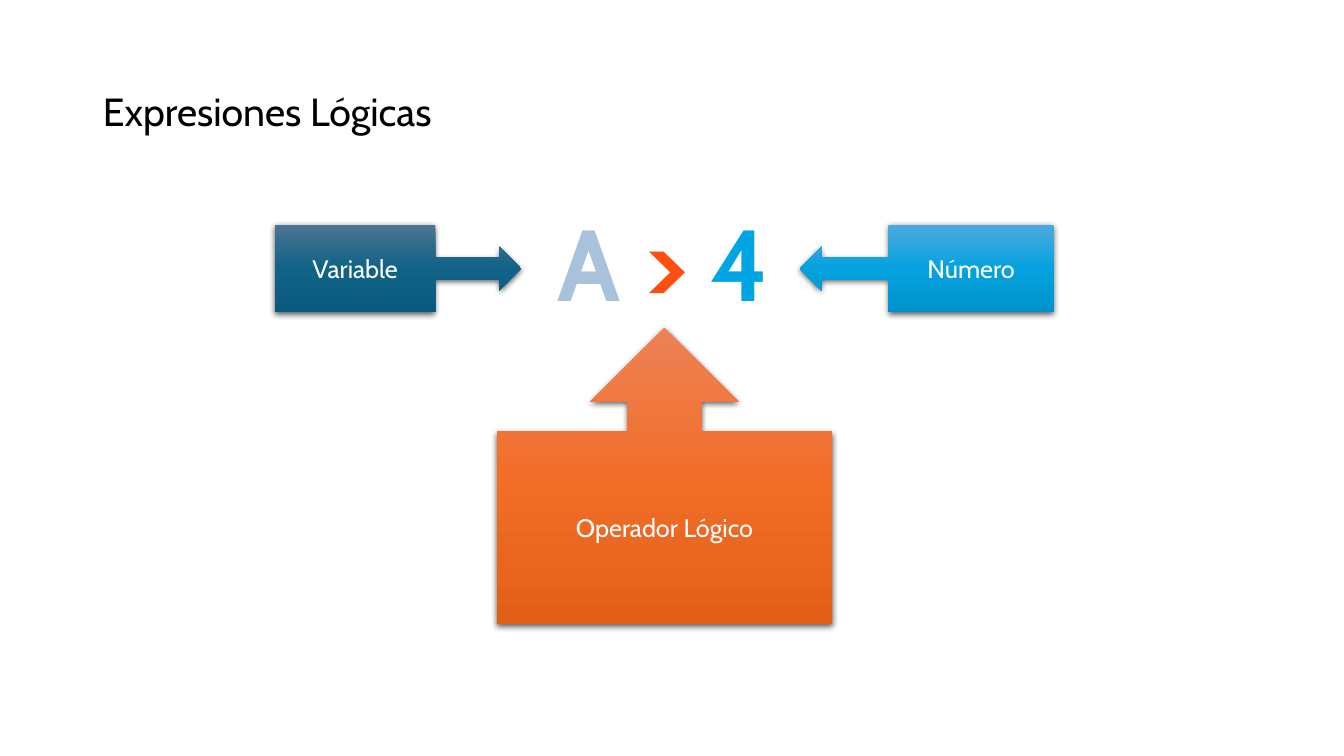
import pptx
import pptx.util
import pptx.oxml
import pptx.oxml.ns
import pptx.dml.color
import pptx.enum.shapes
import pptx.enum.text
from lxml import etree
from pptx.util import Inches

FONT = "Cabin"
COLORS = {
    "title": "000000",
    "label": "FFFFFF",
    "shadow": "000000",
    "variable": "A8C2DC",
    "operator": "FF4E0F",
    "number": "00A5E4",
}
GRADIENTS = {
    "variable": ("4C7591", "106287", "09597D"),
    "operator": ("ED8257", "F26E29", "E25F1A"),
    "number": ("4CAADF", "05A2DF", "0092CB"),
}
SHAPES = pptx.enum.shapes.MSO_SHAPE
ALIGN = pptx.enum.text.PP_ALIGN
ANCHOR = pptx.enum.text.MSO_ANCHOR


def format_run(run, size, color, bold=False):
    run.font.name = FONT
    run.font.size = pptx.util.Pt(size)
    run.font.bold = bold
    run.font.color.rgb = pptx.dml.color.RGBColor.from_string(COLORS[color])


def add_color(parent, color):
    return etree.SubElement(parent, pptx.oxml.ns.qn("a:srgbClr"), val=color)


def fill_gradient(shape, colors):
    """Spread the colours evenly from top to bottom."""
    shape.fill.gradient()
    shape.fill.gradient_angle = 270
    stops = shape.element.spPr.find(".//" + pptx.oxml.ns.qn("a:gsLst"))
    for stop in list(stops):
        stops.remove(stop)
    for index, color in enumerate(colors):
        position = index * 100000 // (len(colors) - 1)
        stop = etree.SubElement(stops, pptx.oxml.ns.qn("a:gs"), pos=str(position))
        add_color(stop, color)


def drop_shadow(shape):
    shape.shadow.inherit = False
    effects = shape.element.spPr.find(pptx.oxml.ns.qn("a:effectLst"))
    outer = etree.SubElement(
        effects, pptx.oxml.ns.qn("a:outerShdw"),
        blurRad=str(pptx.util.Pt(4.5)), dist=str(pptx.util.Pt(1.5)),
        dir="5400000", algn="ctr", rotWithShape="0")
    shade = add_color(outer, COLORS["shadow"])
    etree.SubElement(shade, pptx.oxml.ns.qn("a:alpha"), val="63000")


def add_title(slide, text):
    title = slide.shapes.title
    title.left, title.top = Inches(0.92), Inches(0.4)
    title.width, title.height = Inches(11.5), Inches(1.45)
    title.text_frame.text = text
    title.text_frame.vertical_anchor = ANCHOR.MIDDLE
    paragraph = title.text_frame.paragraphs[0]
    paragraph.alignment = ALIGN.LEFT
    paragraph.line_spacing = 0.9
    format_run(paragraph.runs[0], 28, "title")


def add_expression(slide, parts):
    expression = slide.shapes.add_textbox(
        Inches(4.92), Inches(1.94), Inches(3.32), Inches(1.31))
    expression.text_frame.word_wrap = True
    paragraph = expression.text_frame.paragraphs[0]
    paragraph.alignment = ALIGN.CENTER
    for text, role in parts:
        run = paragraph.add_run()
        run.text = text
        format_run(run, 72, role, bold=True)


def add_callout(slide, kind, role, label, left, top, width, height):
    callout = slide.shapes.add_shape(
        kind, Inches(left), Inches(top), Inches(width), Inches(height))
    fill_gradient(callout, GRADIENTS[role])
    callout.line.fill.background()
    drop_shadow(callout)
    callout.text_frame.text = label
    callout.text_frame.word_wrap = True
    callout.text_frame.vertical_anchor = ANCHOR.MIDDLE
    paragraph = callout.text_frame.paragraphs[0]
    paragraph.alignment = ALIGN.CENTER
    format_run(paragraph.runs[0], 18, "label")


def main():
    deck = pptx.Presentation()
    deck.slide_width, deck.slide_height = Inches(13.33), Inches(7.5)
    slide = deck.slides.add_slide(deck.slide_layouts[5])

    add_title(slide, "Expresiones Lógicas")

    # The expression, one colour for each part
    add_expression(slide, [("A", "variable"), (" > ", "operator"), ("4", "number")])

    # Callouts that name each part
    add_callout(slide, SHAPES.UP_ARROW_CALLOUT, "operator", "Operador Lógico",
                4.93, 3.25, 3.32, 2.94)
    add_callout(slide, SHAPES.RIGHT_ARROW_CALLOUT, "variable", "Variable",
                2.73, 2.23, 2.44, 0.87)
    add_callout(slide, SHAPES.LEFT_ARROW_CALLOUT, "number", "Número",
                7.93, 2.23, 2.52, 0.87)

    deck.save("out.pptx")


if __name__ == "__main__":
    main()
